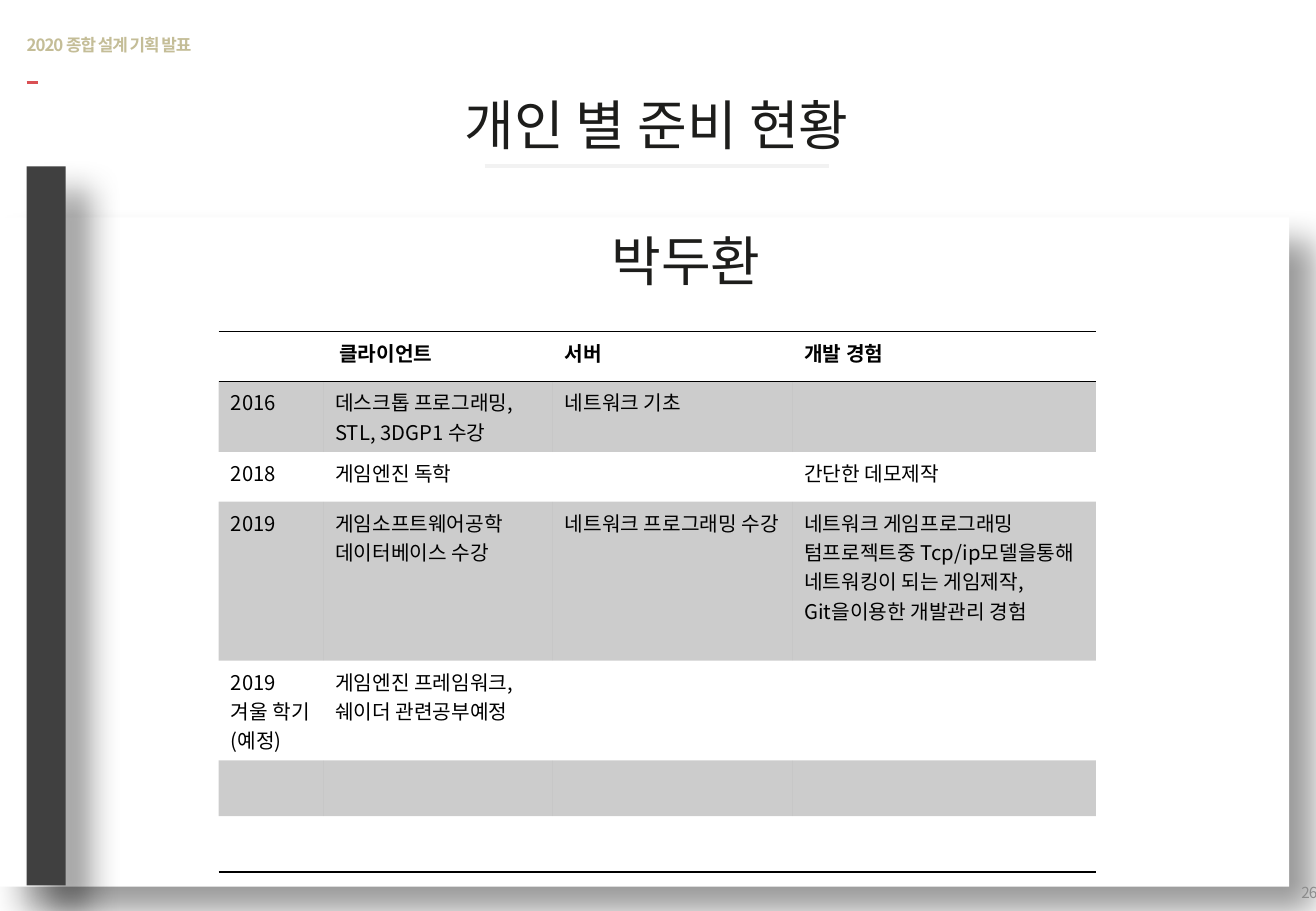
"""Build the slide on one member's preparation status."""
import pptx
import pptx.util
import pptx.dml.color
import pptx.enum.shapes
import pptx.enum.text
import pptx.oxml
import pptx.oxml.ns

Inches = pptx.util.Inches
Pt = pptx.util.Pt
Align = pptx.enum.text.PP_ALIGN
Middle = pptx.enum.text.MSO_ANCHOR.MIDDLE
FONT = "Noto Sans CJK KR"
PLAIN = "{2D5ABB26-0587-4C30-8999-92F81FD0307C}"
HUES = {"black": "000000", "white": "FFFFFF", "bar": "404040", "red": "DA5054",
        "rule": "F2F2F2", "ink": "1D1D1B", "sand": "C4BD97", "gray": "8C8C8C"}
COLS = [0.86, 1.89, 1.97, 2.5]
HEIGHTS = [0.41, 0.58, 0.41, 1.31, 0.82, 0.46, 0.46]
ROWS = [
    ["클라이언트", "", "서버", "개발 경험"],
    ["2016", "데스크톱 프로그래밍, STL, 3DGP1 수강", "네트워크 기초", ""],
    ["2018", "게임엔진 독학", "", "간단한 데모제작"],
    ["2019", "게임소프트웨어공학\n데이터베이스 수강", "네트워크 프로그래밍 수강",
     "네트워크 게임프로그래밍 텀프로젝트중 Tcp/ip모델을통해 네트워킹이 되는 게임제작,\n"
     "Git을이용한 개발관리 경험"],
    ["2019\n겨울 학기 (예정)", "게임엔진 프레임워크, 쉐이더 관련공부예정", "", ""],
    [""] * 4,
    [""] * 4,
]


def hue(name):
    return pptx.dml.color.RGBColor.from_string(HUES[name])


def node(tag, body="", attrs=""):
    space = pptx.oxml.ns.nsdecls("a")
    return pptx.oxml.parse_xml(f"<a:{tag} {space} {attrs}>{body}</a:{tag}>")


def tint(name, alpha=100):
    return f'<a:srgbClr val="{HUES[name]}"><a:alpha val="{alpha * 1000}"/></a:srgbClr>'


def style(para, size, color, bold=False, align=Align.LEFT, tight=False):
    para.alignment = align
    font = para.font
    font.size, font.bold, font.name = Pt(size), bold, FONT
    font.color.rgb = hue(color)
    props = para._p.pPr.find(pptx.oxml.ns.qn("a:defRPr"))
    props.append(node("ea", attrs=f'typeface="{FONT}"'))
    if tight:
        props.set("spc", "-60")


def trim(frame):
    frame.margin_left = frame.margin_right = 0
    frame.margin_top = frame.margin_bottom = 0


def add_text(slide, box, text, size, color, align):
    frame = slide.shapes.add_textbox(*map(Inches, box)).text_frame
    frame.word_wrap = True
    frame.vertical_anchor = Middle
    frame.text = text
    style(frame.paragraphs[0], size, color, align=align)
    return frame


def add_head(slide, text):
    add_text(slide, (1.43, 0.83, 7.95, 0.38), text, 32, "ink", Align.CENTER)


def add_name(slide, text):
    add_text(slide, (1.67, 1.95, 7.95, 0.38), text, 32, "ink", Align.CENTER)


def add_page(slide, text):
    frame = add_text(slide, (10.38, 7.19, 0.46, 0.31), text, 9, "gray", Align.RIGHT)
    trim(frame)
    frame.paragraphs[0].font._element.set("spc", "-60")


def set_title(slide, text):
    title = slide.shapes.title
    title.left, title.top, title.width, title.height = map(Inches, (0.22, 0.13, 2.99, 0.47))
    frame = title.text_frame
    frame.text = text
    frame.vertical_anchor = Middle
    trim(frame)
    style(frame.paragraphs[0], 10, "sand", bold=True, tight=True)


def add_rule(slide, left, right, y, color, width):
    kind = pptx.enum.shapes.MSO_CONNECTOR.STRAIGHT
    rule = slide.shapes.add_connector(kind, *map(Inches, (left, y, right, y)))
    rule.line.color.rgb = hue(color)
    rule.line.width = Pt(width)
    rule._element.spPr.append(node("effectLst"))


def add_panel(slide, box, color):
    kind = pptx.enum.shapes.MSO_SHAPE.RECTANGLE
    panel = slide.shapes.add_shape(kind, *map(Inches, box))
    panel.fill.solid()
    panel.fill.fore_color.rgb = hue(color)
    panel.line.fill.background()
    shade = (f'<a:outerShdw blurRad="{Pt(19)}" dist="{Pt(20)}" dir="2700000" '
             f'algn="tl" rotWithShape="0">{tint("black", 40)}</a:outerShdw>')
    panel._element.spPr.append(node("effectLst", shade))


def paint(cell, shaded, edges):
    props = cell._tc.get_or_add_tcPr()
    for edge in edges:
        fill = f'<a:solidFill>{tint("black")}</a:solidFill>'
        props.append(node(edge, fill, f'w="{Pt(1)}"'))
    if shaded:
        props.append(node("solidFill", tint("black", 20)))
    else:
        props.append(node("noFill"))


def add_grid(slide):
    last = len(ROWS) - 1
    box = map(Inches, (1.8, 2.73, sum(COLS), sum(HEIGHTS)))
    grid = slide.shapes.add_table(len(ROWS), len(COLS), *box).table
    grid._tbl.tblPr.find(pptx.oxml.ns.qn("a:tableStyleId")).text = PLAIN
    grid.first_row = grid.horz_banding = False
    for col, width in zip(grid.columns, COLS):
        col.width = Inches(width)
    for row, height in zip(grid.rows, HEIGHTS):
        row.height = Inches(height)
    grid.cell(0, 0).merge(grid.cell(0, 1))
    edges = {0: ("lnT", "lnB"), last: ("lnB",)}
    for r, texts in enumerate(ROWS):
        for c, text in enumerate(texts):
            cell = grid.cell(r, c)
            cell.text = text
            align = Align.CENTER if r == c == 0 else Align.LEFT
            for para in cell.text_frame.paragraphs:
                style(para, 12, "black", bold=r == 0, align=align)
            paint(cell, r % 2 == 1, edges.get(r, ()))


def main():
    deck = pptx.Presentation()
    deck.slide_width, deck.slide_height = Inches(10.83), Inches(7.5)
    slide = deck.slides.add_slide(deck.slide_layouts[5])
    add_rule(slide, 0.22, 0.31, 0.68, "red", 2)
    add_head(slide, "개인 별 준비 현황")
    add_rule(slide, 3.99, 6.82, 1.37, "rule", 2.25)
    set_title(slide, "2020 종합 설계 기획 발표")
    add_panel(slide, (0, 1.79, 10.61, 5.51), "white")
    add_panel(slide, (0.22, 1.37, 0.32, 5.92), "bar")
    add_page(slide, "26")
    add_grid(slide)
    add_name(slide, "박두환")
    deck.save("out.pptx")


if __name__ == "__main__":
    main()
